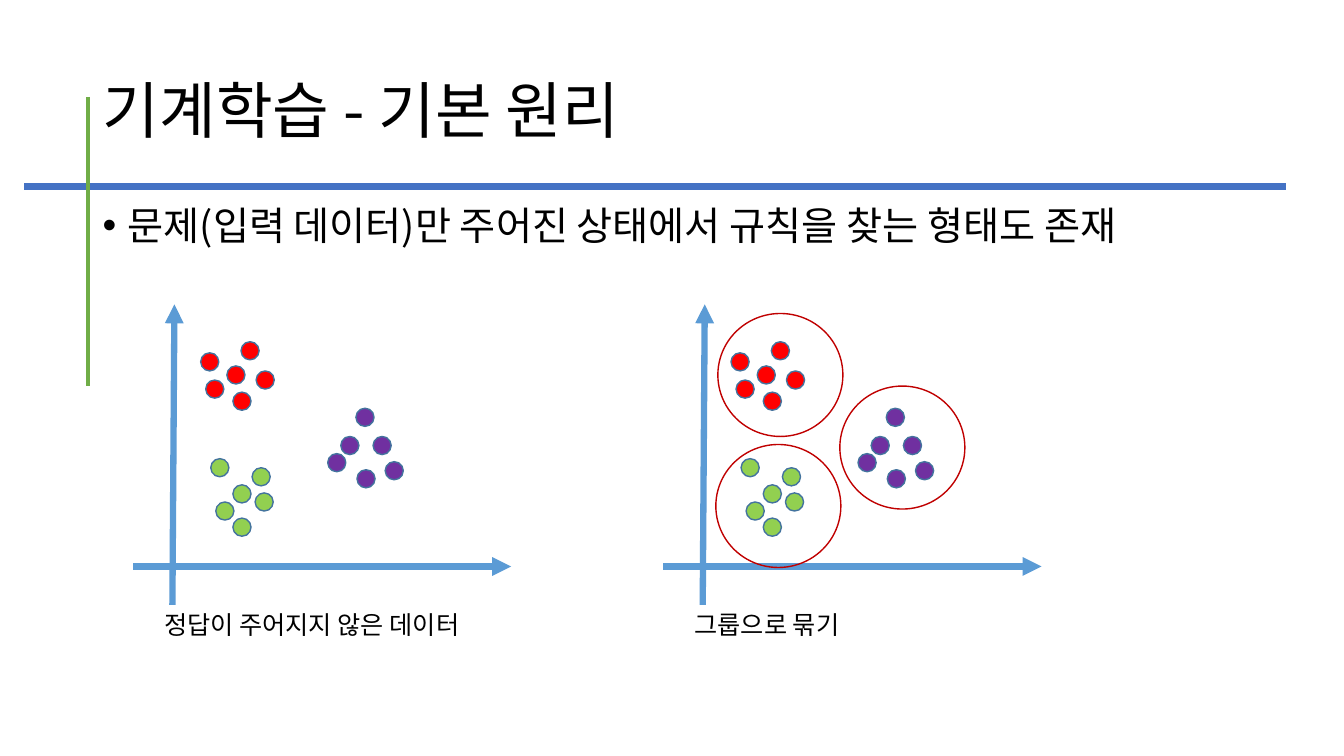
import pptx
import pptx.util
import pptx.dml.color
import pptx.enum.shapes
import pptx.enum.text
import pptx.oxml.ns
import lxml.etree

RGBColor = pptx.dml.color.RGBColor
Anchor = pptx.enum.text.MSO_ANCHOR
Pt = pptx.util.Pt

EMU_PER_PX = 9144  # 100 px to the inch
FONT = "Noto Sans CJK KR"
BLACK = RGBColor(0x00, 0x00, 0x00)
AXIS_BLUE = RGBColor(0x5B, 0x9B, 0xD5)
DOT_EDGE = RGBColor(0x43, 0x73, 0x9E)
RED = RGBColor(0xFF, 0x00, 0x00)
GREEN = RGBColor(0x92, 0xD0, 0x50)
PURPLE = RGBColor(0x70, 0x30, 0xA0)
RING_RED = RGBColor(0xC0, 0x00, 0x00)
RULE_BLUE = RGBColor(0x44, 0x72, 0xC4)
RULE_GREEN = RGBColor(0x70, 0xAD, 0x47)

DOT_SIZE = 18
RING_SIZE = (124, 122)
# Dot corners, measured from the top left of a chart
CLUSTERS = {
    RED: [(67, 48), (72, 75), (93, 61), (99, 87), (107, 37), (122, 66)],
    GREEN: [(82, 196), (99, 212), (99, 179), (121, 187), (77, 153), (118, 162)],
    PURPLE: [(206, 131), (193, 148), (222, 164), (238, 131), (221, 103), (250, 156)],
}
RINGS = [(54, 9), (52, 139), (175, 81)]


def px(*lengths):
    return [pptx.util.Emu(length * EMU_PER_PX) for length in lengths]


def add_child(parent, tag, **attributes):
    child = lxml.etree.SubElement(parent, pptx.oxml.ns.qn(tag))
    for name, value in attributes.items():
        child.set(name, value)
    return child


def add_line(shapes, start, end, color, width, arrow=False):
    line = shapes.add_connector(
        pptx.enum.shapes.MSO_CONNECTOR.STRAIGHT, *px(*start, *end))
    line.line.color.rgb = color
    line.line.width = Pt(width)
    if arrow:
        add_child(line.line._get_or_add_ln(), "a:tailEnd", type="triangle")
    add_child(line._element.spPr, "a:effectLst")


def add_ellipse(shapes, corner, size, edge, fill=None):
    ellipse = shapes.add_shape(
        pptx.enum.shapes.MSO_SHAPE.OVAL, *px(*corner, *size))
    ellipse.shadow.inherit = False
    ellipse.line.color.rgb = edge
    ellipse.line.width = Pt(1)
    if fill is None:
        ellipse.fill.background()
    else:
        ellipse.fill.solid()
        ellipse.fill.fore_color.rgb = fill


def add_text(shapes, box, text, size, frame_format, para_format):
    """Add a one-paragraph text box and return its paragraph."""
    frame = shapes.add_textbox(*px(*box)).text_frame
    para = frame.paragraphs[0]
    span = para.add_run()
    span.text = text
    span.font.color.rgb = BLACK
    formats = [
        (frame, frame_format),
        (para, para_format),
        (span.font, {"size": Pt(size), "name": FONT}),
    ]
    for target, values in formats:
        for name, value in values.items():
            setattr(target, name, value)
    add_child(span.font._element, "a:ea", typeface=FONT)
    return para


def add_heading(page, left, top, width):
    add_text(page.shapes, (left, top, width, 145), "기계학습 - 기본 원리", 44,
             {"word_wrap": True, "vertical_anchor": Anchor.MIDDLE},
             {"line_spacing": 0.9})


def add_body(page, left, top, width):
    para = add_text(
        page.shapes, (left, top, width, 476),
        "문제(입력 데이터)만 주어진 상태에서 규칙을 찾는 형태도 존재", 28,
        {"word_wrap": True, "vertical_anchor": Anchor.TOP},
        {"line_spacing": 0.9, "space_before": Pt(10)})
    properties = para._p.get_or_add_pPr()
    indent = 25 * EMU_PER_PX
    properties.set("marL", str(indent))
    properties.set("indent", str(-indent))
    add_child(properties, "a:buFont", typeface="Arial")
    add_child(properties, "a:buChar", char="•")


def add_scatter(page, left, top, caption, caption_width):
    shapes = page.shapes.add_group_shape().shapes
    add_line(shapes, (left, top + 260), (left + 375, top + 260), AXIS_BLUE, 4.5, True)
    add_line(shapes, (left + 39, top + 298), (left + 41, top), AXIS_BLUE, 4.5, True)
    for color, corners in CLUSTERS.items():
        for x, y in corners:
            add_ellipse(shapes, (left + x, top + y), (DOT_SIZE, DOT_SIZE),
                        DOT_EDGE, color)
    add_text(shapes, (left + 21, top + 298, caption_width, 40), caption, 18,
             {"word_wrap": False,
              "auto_size": pptx.enum.text.MSO_AUTO_SIZE.SHAPE_TO_FIT_TEXT}, {})


def add_rings(page, left, top):
    for x, y in RINGS:
        add_ellipse(page.shapes, (left + x, top + y), RING_SIZE, RING_RED)


def add_rules(page, left, top):
    """Cross the blue and green lines that frame the heading."""
    add_line(page.shapes, (left, top + 89), (left + 1251, top + 89), RULE_BLUE, 4.5)
    add_line(page.shapes, (left + 63, top), (left + 63, top + 287), RULE_GREEN, 3)


def main():
    deck = pptx.Presentation()
    deck.slide_width, deck.slide_height = px(1333, 750)
    page = deck.slides.add_slide(deck.slide_layouts[6])
    add_heading(page, 92, 40, 1150)
    add_body(page, 92, 200, 1150)
    add_scatter(page, 132, 302, "정답이 주어지지 않은 데이터", 350)
    add_scatter(page, 658, 302, "그룹으로 묶기", 181)
    add_rings(page, 658, 302)
    add_rules(page, 24, 96)
    deck.save("out.pptx")


if __name__ == "__main__":
    main()
